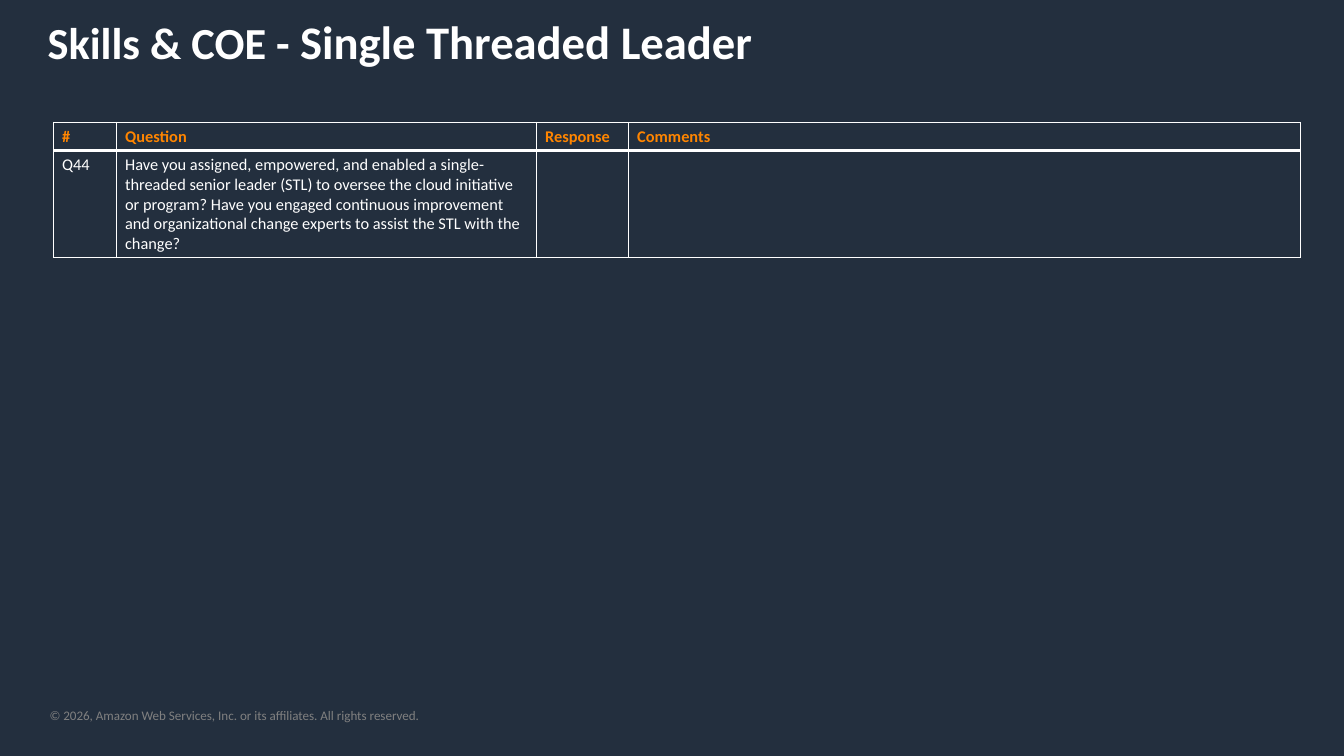
from lxml import etree
from pptx import Presentation
from pptx.dml.color import RGBColor
from pptx.oxml.ns import qn
from pptx.util import Pt

COLORS = {"back": "232F3E", "text": "FFFFFF", "head": "FF8500", "note": "808080"}
FONT = "Calibri"


class Deck:
    """Holds the style and the current slide."""

    def __init__(self, width, height):
        self.prs = Presentation()
        self.prs.slide_width, self.prs.slide_height = Pt(width), Pt(height)
        self.slide = self.prs.slides.add_slide(self.prs.slide_layouts[6])
        fill = self.slide.background.fill
        fill.solid()
        fill.fore_color.rgb = self.color("back")

    def color(self, name):
        return RGBColor.from_string(COLORS[name])

    def style(self, font, size, color, bold=False):
        font.name, font.size, font.bold = FONT, Pt(size), bold
        font.color.rgb = self.color(color)

    def text(self, box, runs, color, bold=False, inset=None):
        frame = self.slide.shapes.add_textbox(*map(Pt, box)).text_frame
        frame.word_wrap = True
        if inset is not None:
            frame.margin_left = frame.margin_right = Pt(inset)
            frame.margin_top = frame.margin_bottom = Pt(inset)
        for words, size in runs:
            run = frame.paragraphs[0].add_run()
            run.text = words
            self.style(run.font, size, color, bold)

    def border(self, cell, widths):
        props = cell._tc.get_or_add_tcPr()
        for spot, (side, width) in enumerate(zip("LRTB", widths)):
            line = etree.Element(qn(f"a:ln{side}"), w=str(Pt(width)))
            fill = etree.SubElement(line, qn("a:solidFill"))
            etree.SubElement(fill, qn("a:srgbClr"), val=COLORS["text"])
            props.insert(spot, line)

    def table(self, left, top, cols, height, rows):
        shape = self.slide.shapes.add_table(
            len(rows), len(cols), Pt(left), Pt(top), Pt(sum(cols)), Pt(height * len(rows)))
        grid = shape.table
        grid.horz_banding = False
        for col, width in zip(grid.columns, cols):
            col.width = Pt(width)
        for r, row in enumerate(rows):
            head = r == 0
            for c, words in enumerate(row):
                cell = grid.cell(r, c)
                cell.fill.background()
                # A thick rule parts the header from the first row
                self.border(cell, (1, 1, 3 if r == 1 else 1, 3 if head else 1))
                cell.text_frame.text = words
                para = cell.text_frame.paragraphs[0]
                for font in [para.font] + [run.font for run in para.runs]:
                    self.style(font, 14, "head" if head else "text", head)


def main():
    deck = Deck(1152, 648)

    # Footer
    deck.text((42.5, 606.2, 560, 13.7),
              [("© 2026, Amazon Web Services, Inc. or its affiliates. All rights reserved.", 11.2)],
              "note", inset=0)

    # Title
    deck.text((33.8, 7.9, 1098.7, 55.4),
              [("Skills & COE - ", 38), ("Single Threaded Leader", 40)], "text", bold=True)

    # Question table
    deck.table(46, 105, (54, 360, 79, 576), 20.2, [
        ("#", "Question", "Response", "Comments"),
        ("Q44",
         "Have you assigned, empowered, and enabled a single-threaded senior leader (STL) "
         "to oversee the cloud initiative or program? Have you engaged continuous improvement "
         "and organizational change experts to assist the STL with the change?",
         "", ""),
    ])

    deck.prs.save("out.pptx")


if __name__ == "__main__":
    main()
